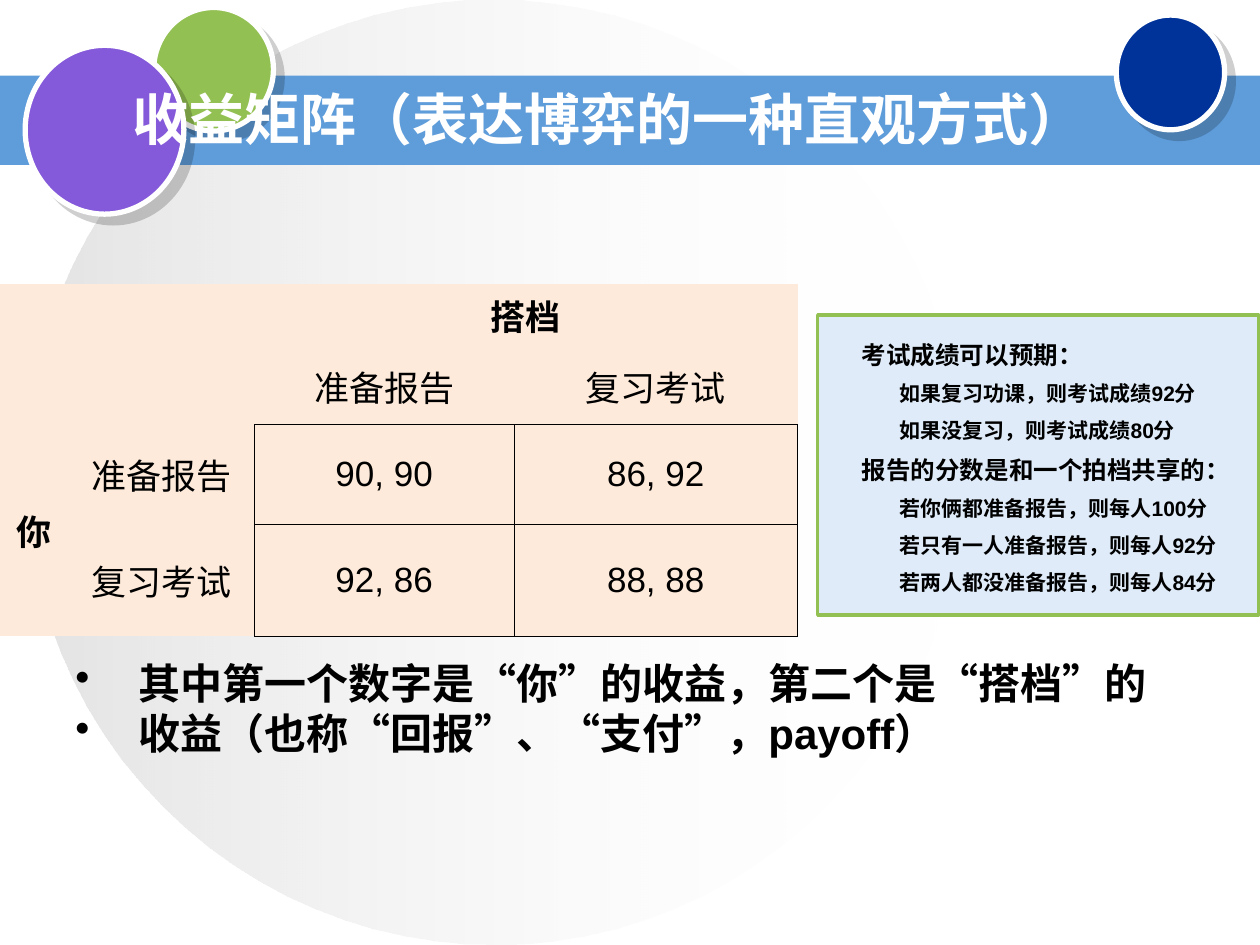
from dataclasses import dataclass
from typing import NamedTuple

from lxml.etree import SubElement
from pptx import Presentation
from pptx.dml.color import RGBColor
from pptx.enum.shapes import MSO_SHAPE as Shape
from pptx.enum.text import MSO_ANCHOR as Anchor, PP_ALIGN as Align
from pptx.oxml.ns import qn
from pptx.util import Inches, Pt


@dataclass(frozen=True)
class Theme:
    """Colours, font and type sizes of the slide."""
    font: str = "Arial"
    white: str = "FFFFFF"
    black: str = "000000"
    grey: str = "C0C0C0"
    band: str = "5E9CDA"
    green: str = "93C052"
    navy: str = "003399"
    purple: str = "855ADA"
    cell: str = "FDEADA"
    panel: str = "DFEBF8"
    title: float = 32
    body: float = 24
    table: float = 20
    rule: float = 14
    detail: float = 12


class Box(NamedTuple):
    """Left, top, width and height in inches."""
    left: float
    top: float
    width: float
    height: float

    def emu(self) -> list:
        """Return the box as lengths."""
        return [Inches(v) for v in self]


class Ball(NamedTuple):
    """A decorative circle with a shadow."""
    box: Box
    color: str


class Rule(NamedTuple):
    """A line of the side panel with its outline level."""
    level: int
    text: str


T = Theme()
BALLS = [
    Ball(Box(1.22, 0.06, 0.95, 0.98), T.green),
    Ball(Box(8.86, 0.12, 0.86, 0.91), T.navy),
    Ball(Box(0.2, 0.36, 1.26, 1.34), T.purple),
]
PAYOFFS = [
    ["", "", "搭档", ""],
    ["", "", "准备报告", "复习考试"],
    ["你", "准备报告", "90, 90", "86, 92"],
    ["", "复习考试", "92, 86", "88, 88"],
]
COL_WIDTHS = [0.54, 1.48, 2.06, 2.25]
ROW_HEIGHTS = [0.51, 0.61, 0.79, 0.89]
NOTES = ["其中第一个数字是“你”的收益，第二个是“搭档”的", "收益（也称“回报”、“支付”，payoff）"]
RULES = [
    Rule(1, "考试成绩可以预期："),
    Rule(2, "如果复习功课，则考试成绩92分"),
    Rule(2, "如果没复习，则考试成绩80分"),
    Rule(1, "报告的分数是和一个拍档共享的："),
    Rule(2, "若你俩都准备报告，则每人100分"),
    Rule(2, "若只有一人准备报告，则每人92分"),
    Rule(2, "若两人都没准备报告，则每人84分"),
]


def add_color(parent, color: str, opacity: int) -> None:
    """Append a colour with an opacity in percent."""
    clr = SubElement(parent, qn("a:srgbClr"), val=color)
    SubElement(clr, qn("a:alpha"), val=str(opacity * 1000))


def add_shape(slide, kind, box: Box, fill: str, line: str = "", width: float = 0):
    """Add a flat preset shape."""
    sp = slide.shapes.add_shape(kind, *box.emu())
    sp.shadow.inherit = False
    sp.fill.solid()
    sp.fill.fore_color.rgb = RGBColor.from_string(fill)
    if line:
        sp.line.color.rgb = RGBColor.from_string(line)
        sp.line.width = Pt(width)
    else:
        sp.line.fill.background()
    return sp


def add_halo(slide) -> None:
    """Add the large circle that fades to the right."""
    sp = add_shape(slide, Shape.OVAL, Box(0.2, 0, 7.44, 7.5), T.grey)
    sp.fill.gradient()
    sp.fill.gradient_angle = 0
    stops = sp._element.spPr.find(qn("a:gradFill")).find(qn("a:gsLst"))
    for stop in list(stops):
        stops.remove(stop)
    for pos, color, opacity in ((0, T.grey, 44), (100, T.white, 0)):
        add_color(SubElement(stops, qn("a:gs"), pos=str(pos * 1000)), color, opacity)


def add_ball(slide, ball: Ball) -> None:
    """Add a white-rimmed circle with a soft grey shadow."""
    sp = add_shape(slide, Shape.OVAL, ball.box, ball.color, T.white, 3)
    shadow = SubElement(sp._element.spPr.find(qn("a:effectLst")), qn("a:outerShdw"),
                        blurRad="0", dist=str(Pt(7.1)), dir=str(45 * 60000),
                        algn="ctr", rotWithShape="0")
    add_color(shadow, T.black, 19)


def style(p, size: float, color: str = T.black, bold: bool = True, align=Align.LEFT) -> None:
    """Format a paragraph and its runs."""
    p.alignment = align
    for r in p.runs:
        r.font.name, r.font.size, r.font.bold = T.font, Pt(size), bold
        r.font.color.rgb = RGBColor.from_string(color)


def set_frame(tf, anchor, side: float, edge: float) -> None:
    """Set wrapping, anchor and insets of a text frame."""
    tf.word_wrap = True
    tf.vertical_anchor = anchor
    tf.margin_left = tf.margin_right = Inches(side)
    tf.margin_top = tf.margin_bottom = Inches(edge)


def add_title(slide) -> None:
    """Add the slide title."""
    tf = slide.shapes.add_textbox(*Box(0.83, 0.67, 8.01, 0.53).emu()).text_frame
    set_frame(tf, Anchor.MIDDLE, 0, 0)
    tf.text = "收益矩阵（表达博弈的一种直观方式）"
    style(tf.paragraphs[0], T.title, T.white, align=Align.CENTER)


def set_borders(cell, black_sides: str) -> None:
    """Draw the named sides in black and clear the others."""
    tc_pr = cell._tc.get_or_add_tcPr()
    for side in "LRTB":
        ln = SubElement(tc_pr, qn(f"a:ln{side}"), w=str(Pt(0.45)))
        if side in black_sides:
            add_color(SubElement(ln, qn("a:solidFill")), T.black, 100)
        else:
            SubElement(ln, qn("a:noFill"))


def add_payoffs(slide) -> None:
    """Add the payoff matrix."""
    box = Box(0, 2.25, sum(COL_WIDTHS), sum(ROW_HEIGHTS))
    table = slide.shapes.add_table(len(ROW_HEIGHTS), len(COL_WIDTHS), *box.emu()).table
    table.first_row = table.horz_banding = False
    for col, width in zip(table.columns, COL_WIDTHS):
        col.width = Inches(width)
    for row, height in zip(table.rows, ROW_HEIGHTS):
        row.height = Inches(height)
    table.cell(0, 2).merge(table.cell(0, 3))
    table.cell(2, 0).merge(table.cell(3, 0))
    for i, texts in enumerate(PAYOFFS):
        for j, text in enumerate(texts):
            cell = table.cell(i, j)
            inner = {(True, True): "LRTB", (False, True): "B" if i == 1 else "",
                     (True, False): "R" if j == 1 else ""}
            set_borders(cell, inner.get((i >= 2, j >= 2), ""))
            cell.fill.solid()
            cell.fill.fore_color.rgb = RGBColor.from_string(T.cell)
            cell.vertical_anchor = Anchor.MIDDLE
            if text:
                cell.text = text
                style(cell.text_frame.paragraphs[0], T.table, bold=i == 0 or j == 0,
                      align=Align.CENTER)


def add_notes(slide) -> None:
    """Add the bulleted reading guide."""
    tf = slide.shapes.add_textbox(*Box(0.5, 5.17, 8.98, 0.9).emu()).text_frame
    set_frame(tf, Anchor.TOP, 0.1, 0.05)
    tf.text = "\n".join(NOTES)
    for p in tf.paragraphs:
        p_pr = p._p.get_or_add_pPr()
        p_pr.set("marL", str(Inches(0.5)))
        p_pr.set("indent", str(Inches(-0.5)))
        SubElement(p_pr, qn("a:buChar"), char="•")
        style(p, T.body)


def add_rules(slide) -> None:
    """Add the side panel with the scoring rules."""
    sp = add_shape(slide, Shape.RECTANGLE, Box(6.49, 2.5, 3.5, 2.38), T.panel, T.green, 2)
    tf = sp.text_frame
    set_frame(tf, Anchor.TOP, 0, 0.15)
    tf.text = "\n".join(rule.text for rule in RULES)
    for i, (p, rule) in enumerate(zip(tf.paragraphs, RULES)):
        p.level = rule.level
        p._p.get_or_add_pPr().set("marL", str(Inches(0.05 + 0.3 * rule.level)))
        p._p.get_or_add_pPr().set("indent", "0")
        p.line_spacing = 1.2
        p.space_before = Pt(3.7 if i else 0)
        style(p, T.rule if rule.level == 1 else T.detail)


def main() -> None:
    """Build the slide and save it."""
    prs = Presentation()
    prs.slide_width, prs.slide_height = Inches(10), Inches(7.5)
    slide = prs.slides.add_slide(prs.slide_layouts[6])
    add_halo(slide)
    add_shape(slide, Shape.RECTANGLE, Box(0, 0.6, 10, 0.71), T.band)
    for ball in BALLS:
        add_ball(slide, ball)
    add_title(slide)
    add_payoffs(slide)
    add_notes(slide)
    add_rules(slide)
    prs.save("out.pptx")


if __name__ == "__main__":
    main()
